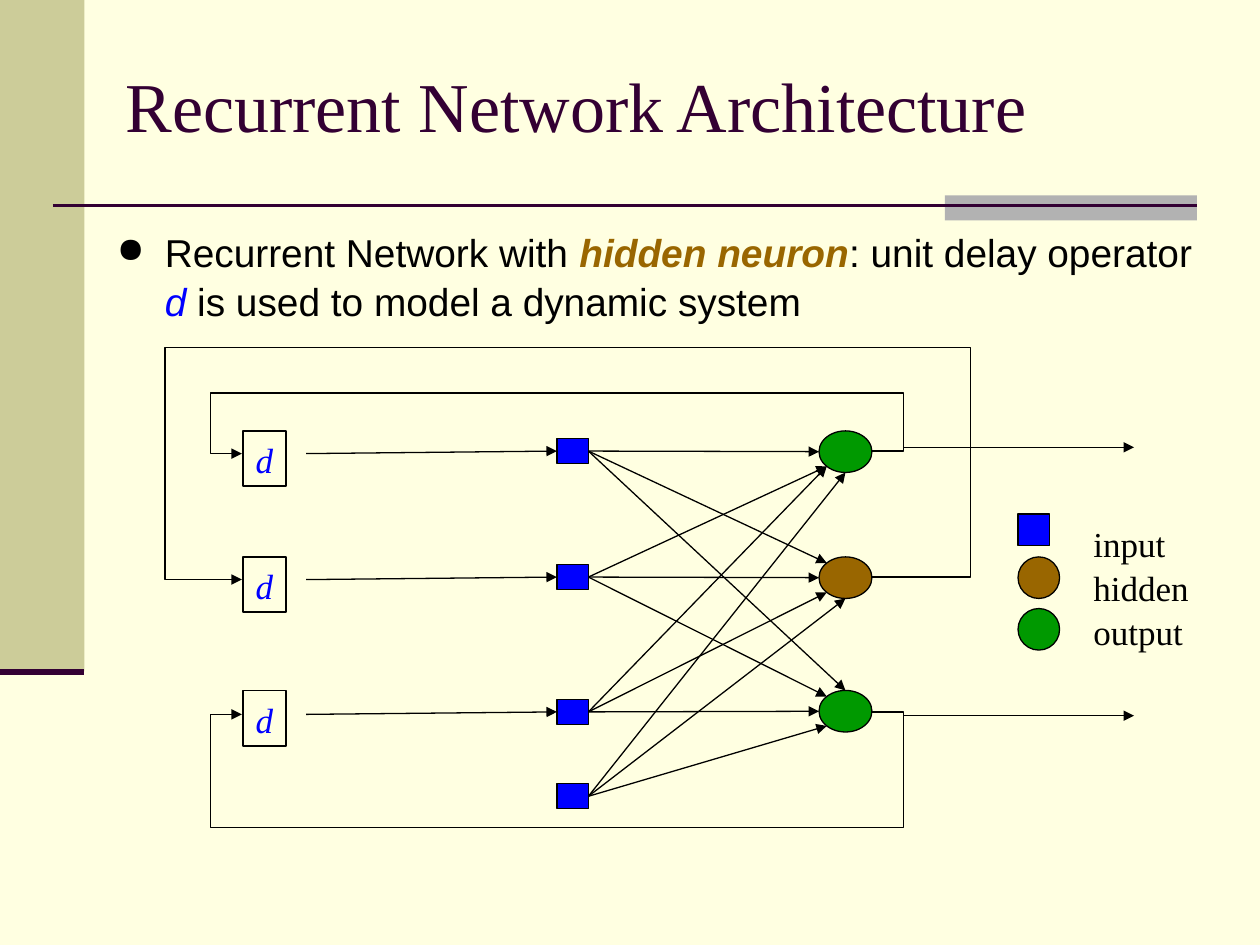
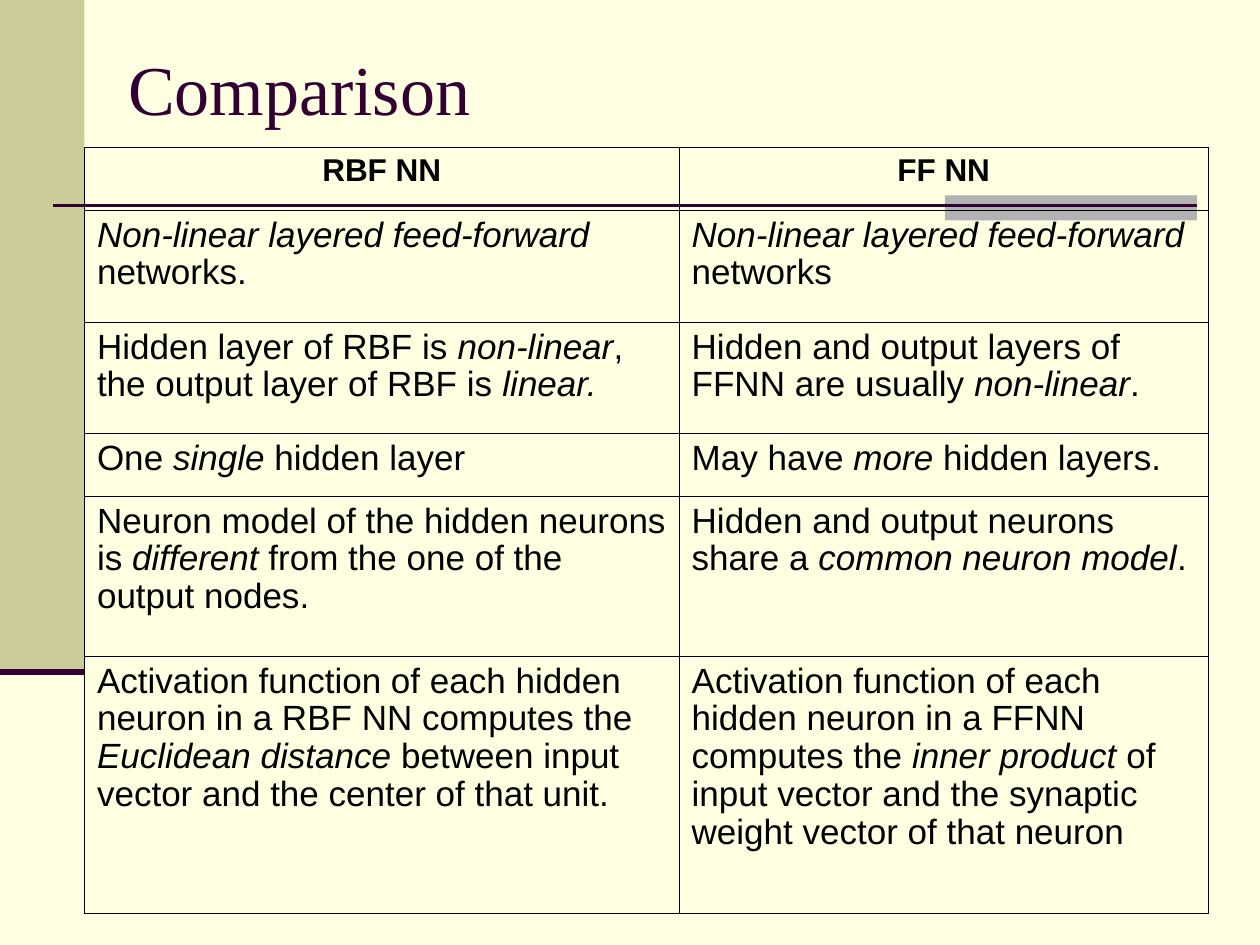
import dataclasses
import math

import lxml.etree
import pptx
import pptx.dml.color
import pptx.enum.shapes
import pptx.enum.text
import pptx.oxml.ns
import pptx.util

PX = 9144
SHAPE = pptx.enum.shapes.MSO_SHAPE
ANCHOR = pptx.enum.text.MSO_ANCHOR
ALIGN = pptx.enum.text.PP_ALIGN
qn = pptx.oxml.ns.qn


@dataclasses.dataclass(frozen=True)
class Theme:
    paper: str = "FFFFE1"
    band: str = "CCCC99"
    accent: str = "B2B2B2"
    plum: str = "330033"
    ink: str = "000000"
    input: str = "0000FF"
    hidden: str = "996600"
    output: str = "009900"
    serif: str = "Times New Roman"
    sans: str = "Arial"
    title_size: float = 40
    body_size: float = 22.2
    label_size: float = 20
    header_size: float = 18
    hairline: float = 0.75
    loose: float = 1.05
    tight: float = 0.97


@dataclasses.dataclass(frozen=True)
class Box:
    left: int
    top: int
    width: int
    height: int

    def inner(self, left, top, width, height):
        return Box(self.left + left, self.top + top, width, height)

    def point(self, x, y):
        return self.left + x, self.top + y

    def emu(self):
        return [value * PX for value in (self.left, self.top, self.width, self.height)]


THEME = Theme()


def rgb(color):
    return pptx.dml.color.RGBColor.from_string(color)


def add_child(parent, tag, **attributes):
    return lxml.etree.SubElement(parent, qn(tag), attributes)


def set_line(item, color=THEME.ink, width=THEME.hairline, arrow=False):
    item.line.color.rgb = rgb(color)
    item.line.width = pptx.util.Pt(width)
    if arrow:
        add_child(item.element.spPr.find(qn("a:ln")), "a:tailEnd", type="triangle")


def add_line(page, start, end, arrow=False, source=None, target=None, **style):
    ends = [round(value * PX) for value in (*start, *end)]
    line = page.shapes.add_connector(pptx.enum.shapes.MSO_CONNECTOR.STRAIGHT, *ends)
    if source is not None:
        line.begin_connect(source, 3)
    if target is not None:
        line.end_connect(target, 1)
    set_line(line, arrow=arrow, **style)
    add_child(line.element.spPr, "a:effectLst")


def add_figure(page, kind, box, fill=None, outline=THEME.ink, width=THEME.hairline):
    figure = page.shapes.add_shape(kind, *box.emu())
    figure.shadow.inherit = False
    if fill:
        figure.fill.solid()
        figure.fill.fore_color.rgb = rgb(fill)
    else:
        figure.fill.background()
    if outline:
        set_line(figure, outline, width)
    else:
        figure.line.fill.background()
    return figure


def style_paragraph(para, font, size, color=THEME.ink, spacing=THEME.loose,
                    align=ALIGN.LEFT, bold=False):
    para.alignment = align
    para.line_spacing = spacing
    para.font.name = font
    para.font.size = pptx.util.Pt(size)
    para.font.color.rgb = rgb(color)
    para.font.bold = bold


def add_text(page, box, lines, font, size, color=THEME.ink, anchor=ANCHOR.TOP):
    frame = page.shapes.add_textbox(*box.emu()).text_frame
    frame.word_wrap = True
    frame.vertical_anchor = anchor
    for index, line in enumerate(lines):
        para = frame.add_paragraph() if index else frame.paragraphs[0]
        para.text = line
        style_paragraph(para, font, size, color)
    return frame


def add_title(page, box, text, anchor):
    return add_text(page, box, [text], THEME.serif, THEME.title_size, THEME.plum, anchor)


def add_page(deck):
    page = deck.slides.add_slide(deck.slide_layouts[6])
    add_figure(page, SHAPE.RECTANGLE, Box(0, 0, 67, 533), THEME.band, None)
    add_figure(page, SHAPE.RECTANGLE, Box(750, 155, 200, 20), THEME.accent, None)
    add_line(page, (42, 163), (950, 163), color=THEME.plum, width=1.5)
    add_line(page, (0, 533), (67, 533), color=THEME.plum, width=3.5)
    return page


def add_statement(page, box):
    frame = add_text(page, box, [""], THEME.sans, THEME.body_size)
    para = frame.paragraphs[0]
    properties = para._p.get_or_add_pPr()
    properties.set("marL", str(38 * PX))
    properties.set("indent", str(-38 * PX))
    for child in properties.findall(qn("a:defRPr")):
        properties.remove(child)
    add_child(add_child(properties, "a:buClr"), "a:srgbClr", val=THEME.ink)
    add_child(properties, "a:buSzPct", val="90000")
    add_child(properties, "a:buChar", char="●")
    style_paragraph(para, THEME.sans, THEME.body_size)
    for text, color, bold, italic in (
        ("Recurrent Network with ", THEME.ink, False, False),
        ("hidden neuron", THEME.hidden, True, True),
        (": unit delay operator ", THEME.ink, False, False),
        ("d ", THEME.input, False, True),
        ("is used to model a dynamic system", THEME.ink, False, False),
    ):
        span = para.add_run()
        span.text = text
        span.font.color.rgb = rgb(color)
        span.font.bold = bold
        span.font.italic = italic


def add_delay(page, box):
    delay = add_figure(page, SHAPE.RECTANGLE, box, width=1)
    frame = delay.text_frame
    frame.word_wrap = False
    frame.vertical_anchor = ANCHOR.MIDDLE
    para = frame.paragraphs[0]
    para.text = "d"
    style_paragraph(para, THEME.serif, THEME.label_size, THEME.input)
    para.font.italic = True


def rim_point(box, degrees):
    angle = math.radians(degrees)
    return (box.left + box.width / 2 * (1 + math.cos(angle)),
            box.top + box.height / 2 * (1 + math.sin(angle)))


def add_feedback(page, points):
    builder = page.shapes.build_freeform(*points[0], scale=PX)
    builder.add_line_segments(points[1:], close=False)
    loop = builder.convert_to_shape()
    loop.shadow.inherit = False
    loop.fill.background()
    set_line(loop, arrow=True)


def add_network(page, box):
    row_tops = (66, 166, 272)
    row_middles = (82, 182, 289, 356)
    neuron_colors = (THEME.output, THEME.hidden, THEME.output)
    left, lower_left, bottom, top, upper_left = 180, 135, 90, 270, 225
    landings = (
        (left, upper_left, top),
        (lower_left, left, upper_left),
        (lower_left, lower_left, left),
        (bottom, bottom, lower_left),
    )
    neurons = [box.inner(519, row, 42, 33) for row in row_tops]
    for neuron, color in zip(neurons, neuron_colors):
        add_figure(page, SHAPE.OVAL, neuron, color)
    inputs = [add_figure(page, SHAPE.RECTANGLE, box.inner(311, middle - 10, 25, 20), THEME.input)
              for middle in row_middles]

    for row, middle, node in zip(row_tops, row_middles, inputs):
        add_delay(page, box.inner(62, row, 34, 44))
        add_line(page, box.point(112, middle + 2), box.point(311, middle), True, target=node)
    for node, middle, angles in zip(inputs, row_middles, landings):
        for neuron, angle in zip(neurons, angles):
            add_line(page, box.point(336, middle), rim_point(neuron, angle), True, source=node)

    for middle, near, across, far in ((82, 586, 36, 36), (182, 639, 0, 0), (289, 586, 381, 36)):
        corners = ((561, middle), (near, middle), (near, across),
                   (far, across), (far, middle + 2), (61, middle + 2))
        add_feedback(page, [box.point(*corner) for corner in corners])
    for height in (79, 292):
        add_line(page, box.point(586, height), box.point(769, height), True)


def add_legend(page, box):
    for kind, top, size, color in (
        (SHAPE.RECTANGLE, 0, 25, THEME.input),
        (SHAPE.OVAL, 34, 33, THEME.hidden),
        (SHAPE.OVAL, 75, 33, THEME.output),
    ):
        add_figure(page, kind, box.inner(0, top, size, size), color)
    add_text(page, box.inner(50, 0, 117, box.height), ("input", "hidden", "output"),
             THEME.serif, THEME.label_size)


def style_cell(cell):
    cell.fill.background()
    cell.margin_left = cell.margin_right = 10 * PX
    cell.margin_top = cell.margin_bottom = 5 * PX
    properties = cell._tc.get_or_add_tcPr()
    for index, side in enumerate(("a:lnL", "a:lnR", "a:lnT", "a:lnB")):
        border = lxml.etree.Element(qn(side), w=str(pptx.util.Pt(0.45)))
        add_child(add_child(border, "a:solidFill"), "a:srgbClr", val=THEME.ink)
        properties.insert(index, border)


def add_comparison(page, box):
    rows = (
        ("RBF NN", "FF NN"),
        ("*Non-linear layered feed-forward* networks.",
         "*Non-linear layered feed-forward* networks"),
        ("Hidden layer of RBF is *non-linear*, the output layer of RBF is *linear.*",
         "Hidden and output layers of FFNN are usually *non-linear*."),
        ("One *single* hidden layer", "May have *more* hidden layers."),
        ("Neuron model of the hidden neurons is *different* from the one of the output nodes.",
         "Hidden and output neurons share a *common neuron model*."),
        ("Activation function of each hidden neuron in a RBF NN computes the "
         "*Euclidean distance* between input vector and the center of that unit.",
         "Activation function of each hidden neuron in a FFNN computes the "
         "*inner product* of input vector and the synaptic weight vector of that neuron"),
    )
    table = page.shapes.add_table(len(rows), 2, *box.emu()).table
    table.first_row = table.horz_banding = False
    for column, width in zip(table.columns, (472, 420)):
        column.width = width * PX
    for row, height in zip(table.rows, (50, 89, 88, 50, 127, 204)):
        row.height = height * PX
    for row_index, texts in enumerate(rows):
        header = row_index == 0
        for column_index, text in enumerate(texts):
            cell = table.cell(row_index, column_index)
            style_cell(cell)
            para = cell.text_frame.paragraphs[0]
            style_paragraph(para, THEME.sans, THEME.header_size if header else THEME.label_size,
                            spacing=THEME.tight, bold=header,
                            align=ALIGN.CENTER if header else ALIGN.LEFT)
            for part_index, part in enumerate(text.split("*")):
                if part:
                    span = para.add_run()
                    span.text = part
                    span.font.italic = part_index % 2 == 1


def build_architecture(deck):
    page = add_page(deck)
    add_statement(page, Box(83, 175, 892, 83))
    add_network(page, Box(131, 276, 769, 381))
    add_title(page, Box(90, 44, 827, 75), "Recurrent Network Architecture", ANCHOR.MIDDLE)
    add_legend(page, Box(808, 408, 167, 110))


def build_comparison(deck):
    page = add_page(deck)
    add_comparison(page, Box(67, 117, 892, 608))
    add_title(page, Box(92, 28, 808, 77), "Comparison", ANCHOR.TOP)


def main():
    deck = pptx.Presentation()
    deck.slide_width, deck.slide_height = 1000 * PX, 750 * PX
    background = deck.slide_master.background.fill
    background.solid()
    background.fore_color.rgb = rgb(THEME.paper)
    build_architecture(deck)
    build_comparison(deck)
    deck.save("out.pptx")


if __name__ == "__main__":
    main()
